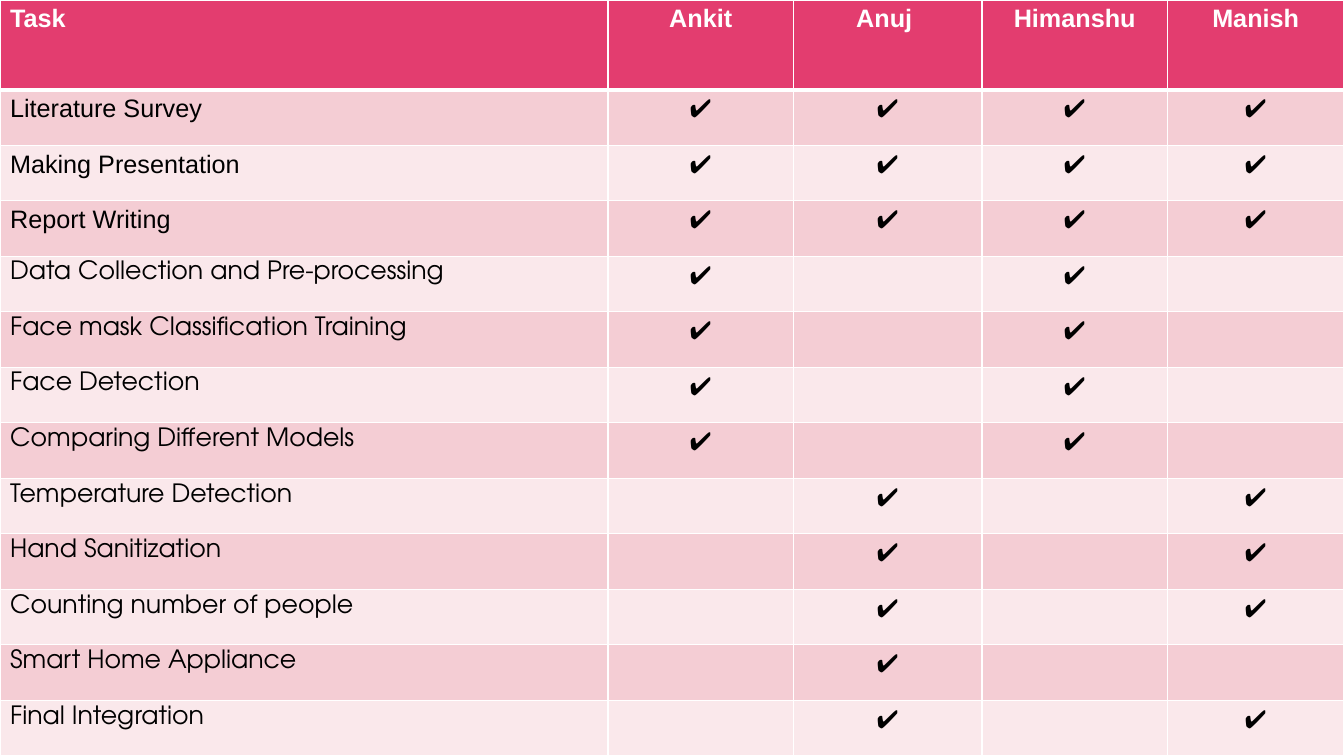
"""Build a one-slide table of project tasks and the people who did them."""
import dataclasses

import pptx
import pptx.dml.color
import pptx.enum.text
import pptx.oxml
import pptx.oxml.ns
import pptx.util

Inches = pptx.util.Inches
Align = pptx.enum.text.PP_ALIGN


@dataclasses.dataclass(frozen=True)
class Theme:
    header: str = "E33D6F"
    bands: tuple = ("F4CDD4", "FAE8EB")
    white: str = "FFFFFF"
    black: str = "000000"
    plain_font: str = "Arial"
    task_font: str = "TeX Gyre Adventor"
    size: int = 18
    thin: int = 1
    thick: int = 3


theme = Theme()


def add_border(cell, side, points):
    """Draw one white edge of a cell."""
    line = pptx.oxml.parse_xml(
        f'<a:ln{side} {pptx.oxml.ns.nsdecls("a")} w="{pptx.util.Pt(points)}">'
        f'<a:solidFill><a:srgbClr val="{theme.white}"/></a:solidFill></a:ln{side}>'
    )
    cell._tc.get_or_add_tcPr().append(line)


people = ["Ankit", "Anuj ", "Himanshu", "Manish"]
everyone = (0, 1, 2, 3)
vision_team = (0, 2)
device_team = (1, 3)
tasks = [
    ("Literature Survey", everyone),
    ("Making Presentation", everyone),
    ("Report Writing", everyone),
    ("Data Collection and Pre-processing", vision_team),
    ("Face mask Classification Training", vision_team),
    ("Face Detection", vision_team),
    ("Comparing Different Models", vision_team),
    ("Temperature Detection", device_team),
    ("Hand Sanitization", device_team),
    ("Counting number of people", device_team),
    ("Smart Home Appliance", (1,)),
    ("Final Integration", device_team),
]
rows = [["Task", *people]]
for task, team in tasks:
    rows.append([task, *("✔️" if person in team else "" for person in everyone)])

width, height, header_height = 13.33, 7.5, 0.89
row_height = (height - header_height) / len(tasks)
column_widths = [6.03, 1.84, 1.87, 1.84, 1.75]

deck = pptx.Presentation()
deck.slide_width = Inches(width)
deck.slide_height = Inches(height)
page = deck.slides.add_slide(deck.slide_layouts[6])
table = page.shapes.add_table(
    len(rows), len(column_widths), 0, 0, Inches(width), Inches(height)
).table
for column, column_width in zip(table.columns, column_widths):
    column.width = Inches(column_width)

for row_index, texts in enumerate(rows):
    is_header = row_index == 0
    table.rows[row_index].height = Inches(header_height if is_header else row_height)
    fill = theme.header if is_header else theme.bands[(row_index - 1) % 2]
    for column_index, text in enumerate(texts):
        cell = table.cell(row_index, column_index)
        edges = {
            "L": theme.thin,
            "R": theme.thin,
            "T": theme.thick if row_index == 1 else theme.thin,
            "B": theme.thick if is_header else theme.thin,
        }
        for side, points in edges.items():
            add_border(cell, side, points)
        cell.fill.solid()
        cell.fill.fore_color.rgb = pptx.dml.color.RGBColor.from_string(fill)
        if not text:
            continue
        para = cell.text_frame.paragraphs[0]
        para.alignment = Align.CENTER if column_index else Align.LEFT
        span = para.add_run()
        span.text = text
        is_project_task = column_index == 0 and row_index > 3
        font_format = {
            "name": theme.task_font if is_project_task else theme.plain_font,
            "size": pptx.util.Pt(theme.size),
            "bold": is_header,
        }
        for name, value in font_format.items():
            setattr(span.font, name, value)
        color = theme.white if is_header else theme.black
        span.font.color.rgb = pptx.dml.color.RGBColor.from_string(color)

deck.save("out.pptx")
